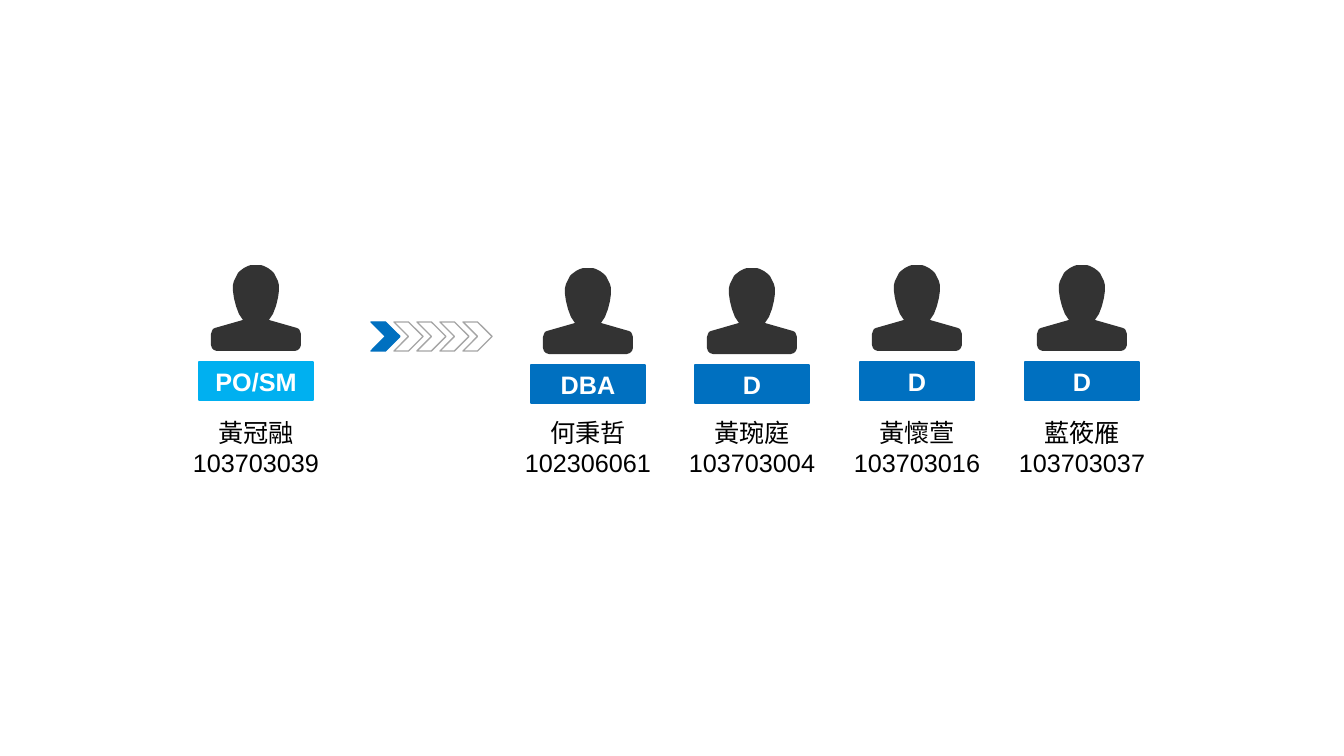
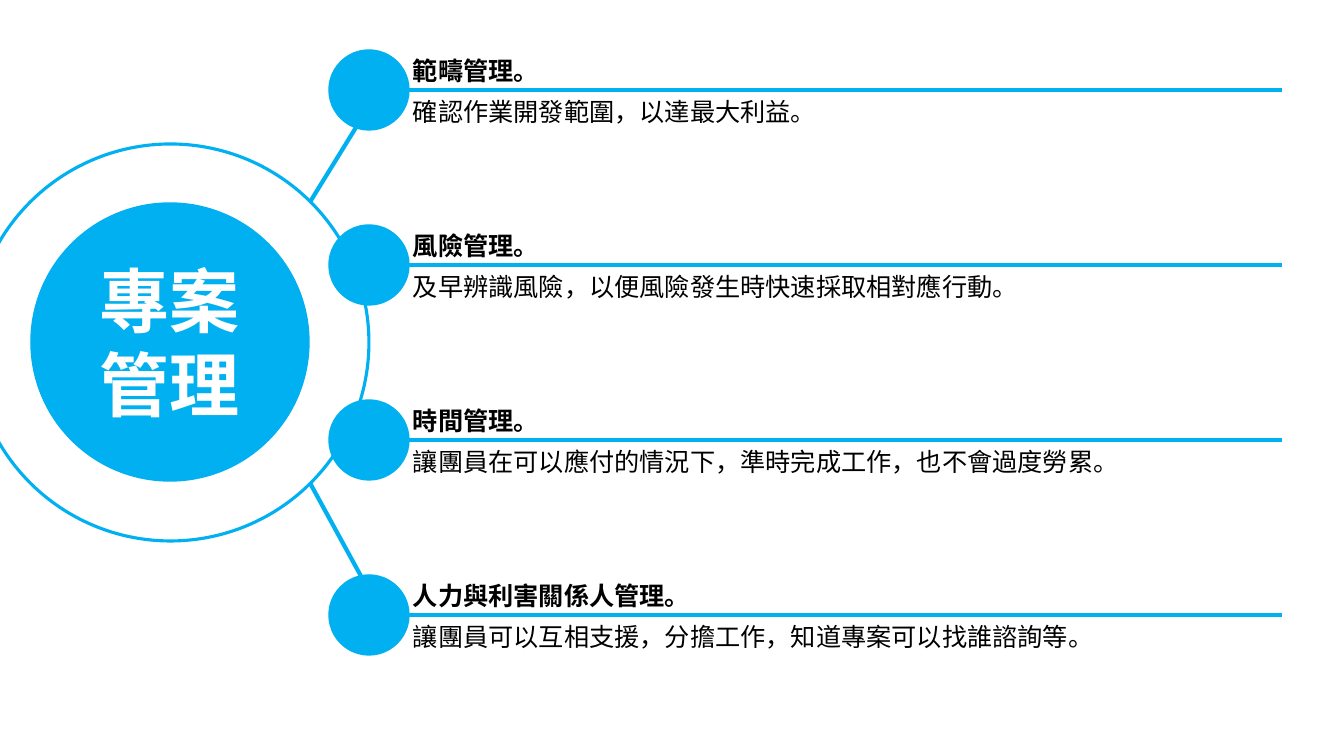
"""Build two slides: the team roster and the project management overview."""
import pptx
import pptx.dml.color
import pptx.enum.shapes
import pptx.enum.text
import pptx.oxml.ns
import pptx.util
from lxml import etree

PX = 9072
COLORS = {"sky": "00B0F0", "blue": "0070C0", "dark": "333333",
          "gray": "A5A5A5", "white": "FFFFFF", "black": "000000"}
RGB = {name: pptx.dml.color.RGBColor.from_string(c) for name, c in COLORS.items()}
LATIN, CJK = "Arial", "Noto Sans CJK SC"
SHAPE = pptx.enum.shapes.MSO_SHAPE
ALIGN = pptx.enum.text.PP_ALIGN
ANCHOR = pptx.enum.text.MSO_ANCHOR
qn = pptx.oxml.ns.qn


def add_box(s, kind, box, fill=None, line=None, weight=1):
    """Add a preset shape, or a text box when kind is None."""
    box = [v * PX for v in box]
    if kind is None:
        return s.shapes.add_textbox(*box)
    sp = s.shapes.add_shape(kind, *box)
    sp.shadow.inherit = False
    if fill:
        sp.fill.solid()
        sp.fill.fore_color.rgb = RGB[fill]
    else:
        sp.fill.background()
    sp.line.color.rgb = RGB[line or fill]
    sp.line.width = pptx.util.Pt(weight)
    return sp


def write(sp, lines, size=18, color="black", bold=False, align=ALIGN.LEFT,
          anchor=ANCHOR.TOP, wrap=True):
    """Fill a shape with (text, font) lines, one paragraph each."""
    tf = sp.text_frame
    tf.word_wrap = wrap
    tf.vertical_anchor = anchor
    tf.margin_left = tf.margin_right = tf.margin_top = tf.margin_bottom = 5 * PX
    tf.text = "\n".join(text for text, font in lines)
    for p, (text, font) in zip(tf.paragraphs, lines):
        p.alignment = align
        r = p.runs[0]
        r.font.size = pptx.util.Pt(size)
        r.font.bold = bold
        r.font.color.rgb = RGB[color]
        r.font.name = font
        etree.SubElement(r.font._element, qn("a:ea"), typeface=font)


prs = pptx.Presentation()
prs.slide_width, prs.slide_height = 1344 * PX, 756 * PX
blank = prs.slide_layouts[6]

s = prs.slides.add_slide(blank)
half = [(5, 0), (8, 1), (12, 3), (16, 6), (18, 8), (20, 12), (22, 16), (23, 20),
        (23, 26), (22, 33), (20, 41), (17, 49), (13, 55), (41, 63), (43, 64),
        (44, 66), (45, 69), (45, 80), (44, 83), (42, 85), (39, 86)]
outline = half + [(-x, y) for x, y in reversed(half)]
columns = [256] + [588 + round(164.5 * i) for i in range(4)]
members = [("PO/SM", "sky", 0, "黃冠融", "103703039"),
           ("DBA", "blue", 3, "何秉哲", "102306061"),
           ("D", "blue", 3, "黃琬庭", "103703004"),
           ("D", "blue", 0, "黃懷萱", "103703016"),
           ("D", "blue", 0, "藍筱雁", "103703037")]
for cx, (role, color, drop, name, number) in zip(columns, members):
    builder = s.shapes.build_freeform(*outline[0], scale=PX)
    builder.add_line_segments(outline[1:], close=True)
    sp = builder.convert_to_shape(cx * PX, (265 + drop) * PX)
    sp.shadow.inherit = False
    sp.fill.solid()
    sp.fill.fore_color.rgb = RGB["dark"]
    sp.line.fill.background()
    sp = add_box(s, SHAPE.RECTANGLE, (cx - 57, 362 + drop, 114, 38), color)
    write(sp, [(role, LATIN)], color="white", bold=True,
          align=ALIGN.CENTER, anchor=ANCHOR.MIDDLE)
    sp = add_box(s, None, (cx - 69, 412, 138, 74))
    write(sp, [(name, CJK), (number, LATIN)], align=ALIGN.CENTER, wrap=False)

for i in range(5):
    fill, line = (None, "gray") if i else ("blue", "blue")
    add_box(s, SHAPE.CHEVRON, (371 + 23 * i, 322, 29, 29), fill, line)

s = prs.slides.add_slide(blank)
add_box(s, SHAPE.OVAL, (-28, 144, 397, 397), line="sky", weight=2.25)
sp = add_box(s, SHAPE.OVAL, (31, 203, 278, 278), "sky")
write(sp, [("專案管理", CJK)], size=50, color="white", bold=True,
      align=ALIGN.CENTER, anchor=ANCHOR.MIDDLE)

topics = [("範疇管理。", "確認作業開發範圍，以達最大利益。"),
          ("風險管理。", "及早辨識風險，以便風險發生時快速採取相對應行動。"),
          ("時間管理。", "讓團員在可以應付的情況下，準時完成工作，也不會過度勞累。"),
          ("人力與利害關係人管理。", "讓團員可以互相支援，分擔工作，知道專案可以找誰諮詢等。")]
lines = [(310, 202, 397, 61, 3), (310, 483, 397, 642, 3)]
for i, (heading, body) in enumerate(topics):
    top = 50 + 175 * i
    add_box(s, SHAPE.OVAL, (329, top, 80, 80), "sky")
    write(add_box(s, None, (408, top, 873, 45)), [(heading, CJK)], bold=True)
    write(add_box(s, None, (408, top + 41, 873, 45)), [(body, CJK)])
    lines.append((409, top + 40, 1282, top + 40, 2.25))

for *ends, weight in lines:
    cn = s.shapes.add_connector(pptx.enum.shapes.MSO_CONNECTOR.STRAIGHT,
                                *[v * PX for v in ends])
    cn.line.color.rgb = RGB["sky"]
    cn.line.width = pptx.util.Pt(weight)
    etree.SubElement(cn._element.spPr, qn("a:effectLst"))

prs.save("out.pptx")
